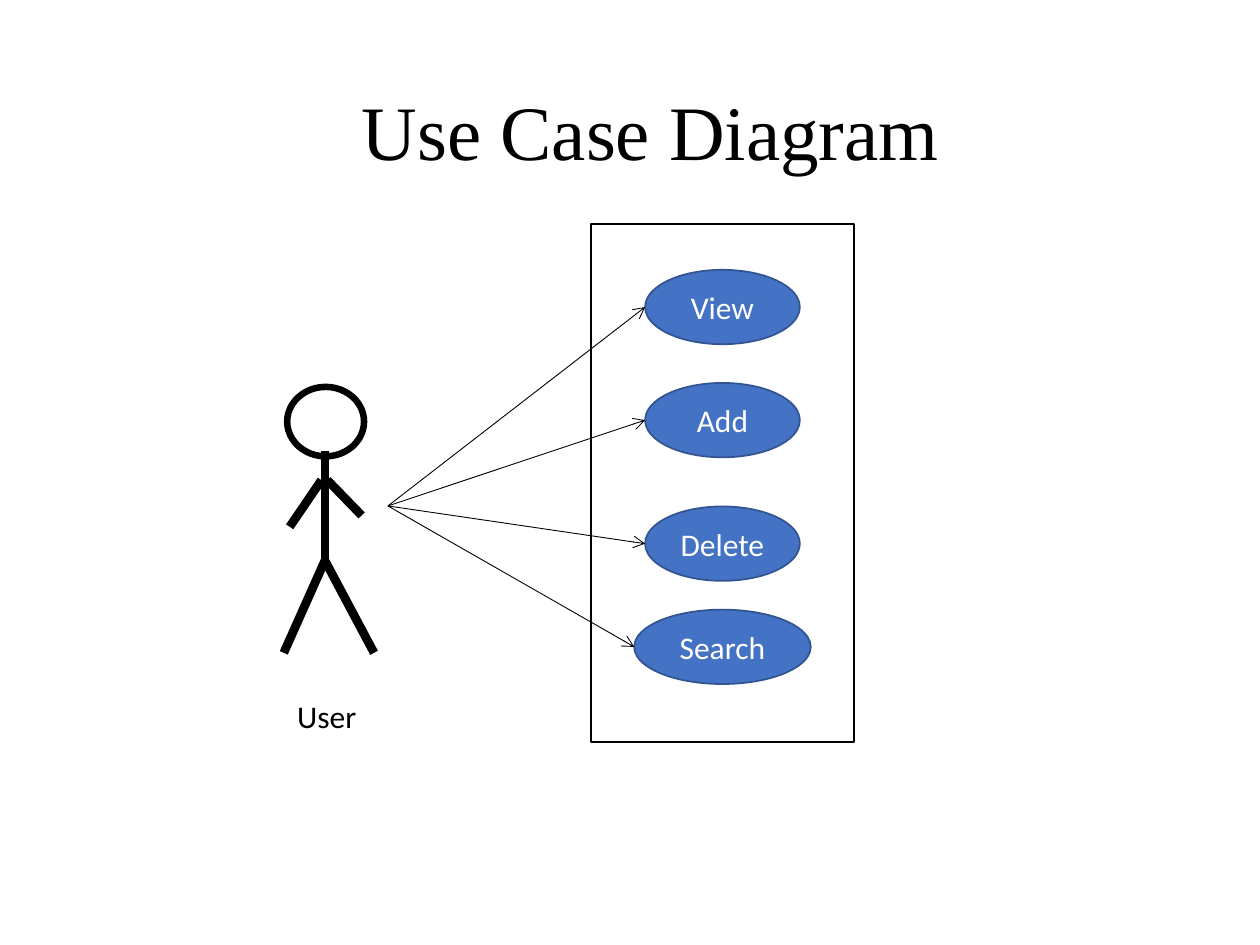
import pptx
import pptx.util
import pptx.dml.color
import pptx.enum.shapes
import pptx.enum.text
import pptx.oxml
import pptx.oxml.ns

Cm, Pt = pptx.util.Cm, pptx.util.Pt
KIND = pptx.enum.shapes.MSO_SHAPE
ALIGN = pptx.enum.text.PP_ALIGN
BLACK, WHITE, BLUE, NAVY = "000000", "FFFFFF", "4472C4", "325491"


def paint(part, color):
    part.rgb = pptx.dml.color.RGBColor.from_string(color)


def shape(slide, kind, box, fill, edge, width):
    item = slide.shapes.add_shape(kind, *map(Cm, box))
    item.shadow.inherit = False
    item.fill.solid()
    paint(item.fill.fore_color, fill)
    paint(item.line.color, edge)
    item.line.width = Pt(width)
    return item


def line(slide, start, end, width, arrow=False):
    item = slide.shapes.add_connector(
        pptx.enum.shapes.MSO_CONNECTOR.STRAIGHT, *map(Cm, (*start, *end)))
    paint(item.line.color, BLACK)
    item.line.width = Pt(width)
    props = item._element.spPr
    if arrow:
        tip = pptx.oxml.ns.qn("a:tailEnd")
        props.find(pptx.oxml.ns.qn("a:ln")).makeelement
        node = pptx.oxml.parse_xml(
            "<a:tailEnd %s type='arrow'/>" % pptx.oxml.ns.nsdecls("a"))
        props.find(pptx.oxml.ns.qn("a:ln")).append(node)
    props.append(pptx.oxml.parse_xml(
        "<a:effectLst %s/>" % pptx.oxml.ns.nsdecls("a")))


def write(item, text, size, font, color, align=ALIGN.LEFT, wrap=False):
    frame = item.text_frame
    frame.text = text
    frame.word_wrap = wrap
    para = frame.paragraphs[0]
    para.alignment = align
    run = para.runs[0]
    run.font.size = Pt(size)
    run.font.name = font
    paint(run.font.color, color)


def title(slide, box):
    item = slide.shapes.add_textbox(*map(Cm, box))
    write(item, "Use Case Diagram", 44, "Times New Roman", BLACK, wrap=True)


def actor(slide, left, top):
    # Head
    shape(slide, KIND.OVAL, (left + 0.07, top, 1.55, 1.4), WHITE, BLACK, 3.75)

    # Trunk, arms and legs
    neck, hip = (0.83, 1.29), (0.83, 3.5)
    limbs = [
        (neck, hip),
        ((0.76, 1.88), (0.12, 2.82)),
        ((0.88, 1.88), (1.57, 2.59)),
        (hip, (0, 5.36)),
        (hip, (1.82, 5.36)),
    ]
    for (x1, y1), (x2, y2) in limbs:
        line(slide, (left + x1, top + y1), (left + x2, top + y2), 5)

    # Name
    item = slide.shapes.add_textbox(
        Cm(left + 0.02), Cm(top + 6.12), Cm(1.73), Cm(1.02))
    write(item, "User", 18, "Calibri", BLACK)


def system(slide, box, hand):
    left, top, width, _ = box
    shape(slide, KIND.RECTANGLE, box, WHITE, BLACK, 1)

    # Use cases, centred in the frame, each with an arrow from the user
    cases = [("View", 0.92, 3.12), ("Add", 3.2, 3.12),
             ("Delete", 5.69, 3.12), ("Search", 7.77, 3.56)]
    high = 1.5
    for name, drop, wide in cases:
        x, y = left + (width - wide) / 2, top + drop
        oval = shape(slide, KIND.OVAL, (x, y, wide, high), BLUE, NAVY, 1)
        write(oval, name, 18, "Calibri", WHITE, ALIGN.CENTER)
        oval.text_frame.vertical_anchor = pptx.enum.text.MSO_ANCHOR.MIDDLE
        line(slide, hand, (x, y + high / 2), 0.5, arrow=True)


def main():
    deck = pptx.Presentation()
    deck.slide_width, deck.slide_height = Cm(25.4), Cm(19.05)
    slide = deck.slides.add_slide(deck.slide_layouts[6])
    system(slide, (11.91, 4.52, 5.31, 10.44), hand=(7.82, 10.2))
    actor(slide, 5.72, 7.8)
    title(slide, (7.04, 1.55, 12.78, 2.13))
    deck.save("out.pptx")


if __name__ == "__main__":
    main()
